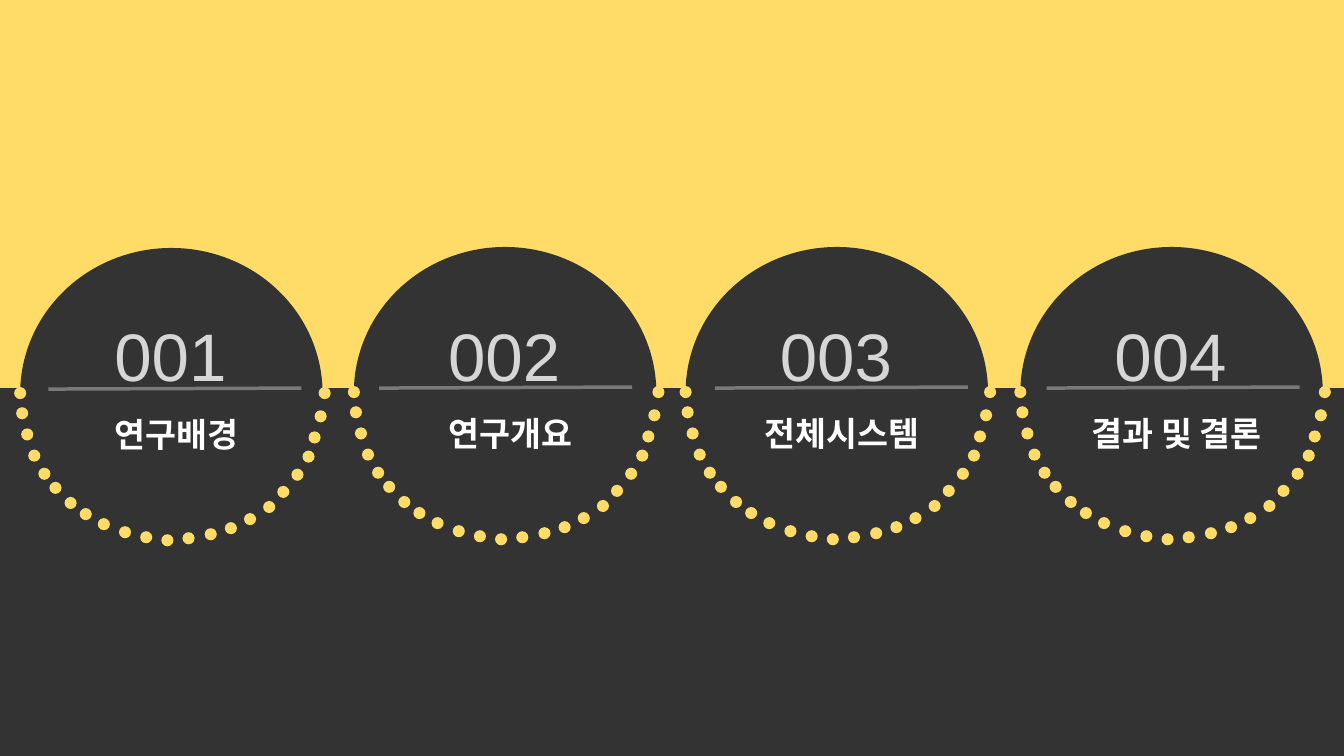
from lxml import etree
from pptx import Presentation
from pptx.dml.color import RGBColor
from pptx.enum.shapes import MSO_CONNECTOR, MSO_SHAPE
from pptx.enum.text import MSO_AUTO_SIZE, PP_ALIGN
from pptx.oxml.ns import qn
from pptx.util import Pt

RECTANGLE, OVAL = MSO_SHAPE.RECTANGLE, MSO_SHAPE.OVAL
STRAIGHT = MSO_CONNECTOR.STRAIGHT
CENTER = PP_ALIGN.CENTER
GROW = MSO_AUTO_SIZE.SHAPE_TO_FIT_TEXT

PX = 9144  # 100 px to the inch
THEME = {
    "yellow": RGBColor(0xFF, 0xDB, 0x67),
    "dark": RGBColor(0x33, 0x33, 0x33),
    "white": RGBColor(0xFF, 0xFF, 0xFF),
    "rule": RGBColor(0xBF, 0xBF, 0xBF),
    "rule_width": Pt(2.5),
}
NUMBER_FORMAT = {"name": "Arial", "size": Pt(48)}
LABEL_FORMAT = {"name": "Arial", "size": Pt(24), "bold": True}

SLIDE_WIDTH, SLIDE_HEIGHT, HORIZON = 1333, 750, 385
DISC_WIDTH, DISC_HEIGHT, DOT = 300, 289, 12
NUMBER_TOP, RULE_LENGTH = 307, 251

# disc left, disc top, rule inset, label
CHAPTERS = [
    (20, 246, 28, "연구배경"),
    (351, 245, 25, "연구개요"),
    (680, 245, 29, "전체시스템"),
    (1012, 245, 26, "결과 및 결론"),
]
# Dot positions from the disc's top left corner, left to right
DOT_OFFSETS = [
    (-6, 138), (-4, 158), (1, 179), (8, 200), (18, 218), (29, 232),
    (44, 247), (59, 258), (77, 268), (98, 276), (119, 281), (140, 284),
    (161, 282), (183, 278), (203, 272), (222, 263), (241, 251), (255, 236),
    (269, 219), (280, 201), (286, 182), (292, 161), (296, 138),
]


def add_filled(shapes, kind, color, *box):
    shape = shapes.add_shape(kind, *(value * PX for value in box))
    shape.shadow.inherit = False
    shape.fill.solid()
    shape.fill.fore_color.rgb = color
    shape.line.fill.background()


def set_alpha(element, percent):
    """Make the colour inside an element partly transparent."""
    color = element.find(".//" + qn("a:srgbClr"))
    etree.SubElement(color, qn("a:alpha")).set("val", str(percent * 1000))


presentation = Presentation()
presentation.slide_width = SLIDE_WIDTH * PX
presentation.slide_height = SLIDE_HEIGHT * PX
slide = presentation.slides.add_slide(presentation.slide_layouts[6])
slide.background.fill.solid()
slide.background.fill.fore_color.rgb = THEME["yellow"]
add_filled(slide.shapes, RECTANGLE, THEME["dark"],
           0, HORIZON, SLIDE_WIDTH, SLIDE_HEIGHT - HORIZON)

for number, (left, top, rule_inset, label) in enumerate(CHAPTERS, start=1):
    shapes = slide.shapes.add_group_shape().shapes
    add_filled(shapes, OVAL, THEME["dark"], left, top, DISC_WIDTH, DISC_HEIGHT)
    for offset_x, offset_y in DOT_OFFSETS:
        add_filled(shapes, OVAL, THEME["yellow"],
                   left + offset_x, top + offset_y, DOT, DOT)

    rule_left, rule_top = left + rule_inset, top + 140
    rule = shapes.add_connector(
        STRAIGHT, rule_left * PX, rule_top * PX,
        (rule_left + RULE_LENGTH) * PX, (rule_top - 1) * PX)
    rule.line.color.rgb = THEME["rule"]
    rule.line.width = THEME["rule_width"]
    properties = rule.line.color and rule._element.spPr
    set_alpha(properties, 50)
    etree.SubElement(properties, qn("a:effectLst"))

    texts = [
        (f"{number:03}", (left + 39, NUMBER_TOP, 220, 91), NUMBER_FORMAT, 80),
        (label, (left + 33, top + 160, 244, 50), LABEL_FORMAT, 100),
    ]
    for text, box, text_format, opacity in texts:
        text_box = shapes.add_textbox(*(value * PX for value in box))
        text_box.text_frame.word_wrap = True
        text_box.text_frame.auto_size = GROW
        paragraph = text_box.text_frame.paragraphs[0]
        paragraph.alignment = CENTER
        run = paragraph.add_run()
        run.text = text
        for name, value in text_format.items():
            setattr(run.font, name, value)
        run.font.color.rgb = THEME["white"]
        if opacity < 100:
            set_alpha(run._r, opacity)

presentation.save("out.pptx")
